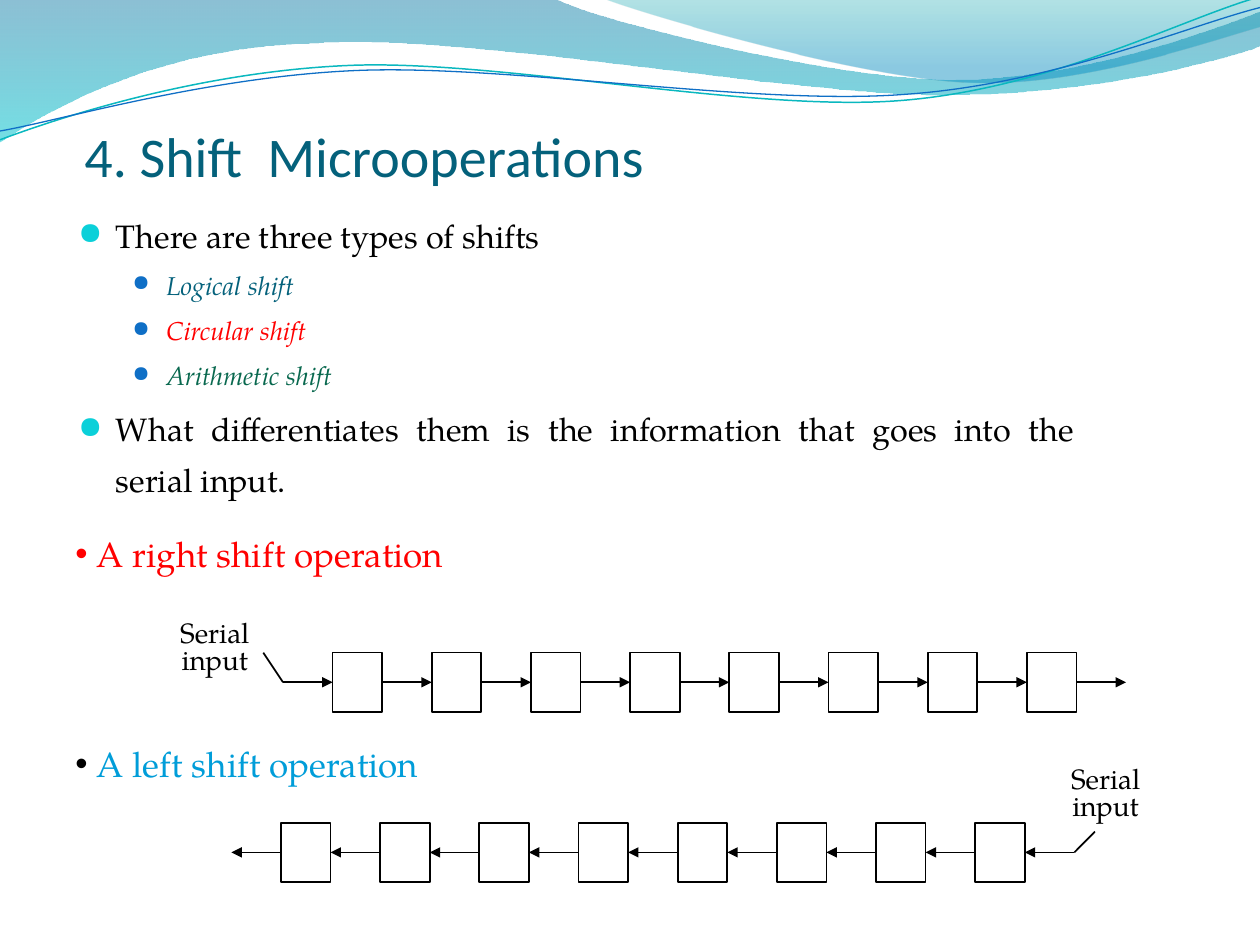
from itertools import pairwise

from lxml.etree import SubElement
from pptx import Presentation
from pptx.dml.color import RGBColor
from pptx.enum.shapes import MSO_CONNECTOR, MSO_SHAPE
from pptx.enum.text import MSO_ANCHOR, MSO_AUTO_SIZE, PP_ALIGN
from pptx.oxml.ns import qn
from pptx.util import Inches, Pt

COLORS = {
    "black": "000000", "red": "FF0000", "green": "08684E", "sky": "009DD9",
    "title": "04617B", "cyan": "0BD0D9", "blue": "0F6FC6", "teal": "0AB8BF",
    "wave_top": "0074A1", "wave_bottom": "00C6CF",
    "crest_top": "00A1A9", "crest_bottom": "008BBF",
}
SERIF = "TeX Gyre Pagella"

# Register grid: eight cells, each as wide as the gap after it
CELLS = 8
PITCH = 5.51 / (CELLS - 1)
CELL_W, CELL_H = PITCH / 2, 0.47
TOP, LEFT, BOTTOM, RIGHT = range(4)

# Wave outlines: a start point, then lines (x, y) and curves (x1, y1, x2, y2, x, y)
WAVE = [(0, 0), (4.4, -0.01), (4.76, 0.17, 6.64, 0.63, 7.58, 0.63),
        (8.53, 0.63, 9.58, 0.26, 10, 0.09), (10.01, 0.36),
        (9.83, 0.44, 8.7, 0.76, 7.46, 0.75), (6.22, 0.75, 3.82, 0.28, 2.57, 0.34),
        (1.29, 0.36, 0.46, 0.83, -0.01, 1.13)]
CREST = [(4.79, -0.01), (5.09, 0.11, 6.82, 0.62, 7.69, 0.65),
         (8.56, 0.69, 9.61, 0.32, 10, 0.21), (10, 0)]
TEAL_CURVE = [(0, 1.11), (0.48, 0.93, 1.58, 0.57, 2.77, 0.52),
              (3.95, 0.47, 5.93, 0.89, 7.13, 0.8), (8.33, 0.71, 9.38, 0.15, 9.98, -0.02)]
BLUE_CURVE = [(0, 1.04), (0.47, 0.96, 1.64, 0.61, 2.83, 0.56),
              (4.03, 0.51, 5.97, 0.84, 7.17, 0.75), (8.36, 0.67, 9.41, 0.21, 10, 0.06)]


def rgb(name):
    return RGBColor.from_string(COLORS[name])


def box(left, top, width, height):
    return [Inches(value) for value in (left, top, width, height)]


def add_outline(slide, outline, closed):
    """Build the outline from its end points, then bend the curved segments."""
    points = [(Inches(segment[-2]), Inches(segment[-1])) for segment in outline]
    builder = slide.shapes.build_freeform(*points[0])
    builder.add_line_segments(points[1:], close=closed)
    shape = builder.convert_to_shape()
    shape.shadow.inherit = False
    straight_segments = list(shape._element.iter(qn("a:lnTo")))
    for element, segment in zip(straight_segments, outline[1:]):
        if len(segment) == 2:
            continue
        element.tag = qn("a:cubicBezTo")
        end_point = element[0]
        for x, y in (segment[:2], segment[2:4]):
            control = SubElement(element, qn("a:pt"))
            control.set("x", str(Inches(x) - shape.left))
            control.set("y", str(Inches(y) - shape.top))
        element.append(end_point)
    return shape


def add_wave(slide, outline, stops):
    wave = add_outline(slide, outline, closed=True)
    wave.line.fill.background()
    wave.fill.gradient()
    wave.fill.gradient_angle = 270
    for gradient_stop, (position, color, _) in zip(wave.fill.gradient_stops, stops):
        gradient_stop.position = position
        gradient_stop.color.rgb = rgb(color)
    for color_element, (_, _, opacity) in zip(
            wave._element.spPr.iter(qn("a:srgbClr")), stops):
        SubElement(color_element, qn("a:alpha"), val=str(opacity * 1000))


def add_curve(slide, outline, color, width):
    curve = add_outline(slide, outline, closed=False)
    curve.fill.background()
    curve.line.color.rgb = rgb(color)
    curve.line.width = Pt(width)


def set_bullet(paragraph, char, font, color, size, margin, hang):
    properties = paragraph._p.get_or_add_pPr()
    properties.set("marL", str(Inches(margin)))
    properties.set("indent", str(-Inches(hang)))
    bullet_color = SubElement(properties, qn("a:buClr"))
    SubElement(bullet_color, qn("a:srgbClr"), val=COLORS[color])
    SubElement(properties, qn("a:buSzPct"), val=str(size * 1000))
    SubElement(properties, qn("a:buFont"), typeface=font)
    SubElement(properties, qn("a:buChar"), char=char)


def set_font(paragraph, size, color, name=SERIF, italic=False):
    font = paragraph.font
    font.size, font.name, font.italic = Pt(size), name, italic
    font.color.rgb = rgb(color)


def paragraphs_for(frame, texts):
    """Fill a text frame and give back its paragraphs."""
    frame.text = "\n".join(texts)
    return frame.paragraphs


def fill_title(title):
    title.left, title.top, title.width, title.height = box(0.67, 1.02, 6.5, 0.48)
    frame = title.text_frame
    frame.auto_size = MSO_AUTO_SIZE.NONE
    frame.vertical_anchor = MSO_ANCHOR.BOTTOM
    frame.margin_left = frame.margin_right = frame.margin_bottom = 0
    heading, = paragraphs_for(frame, ["4. Shift  Microoperations"])
    heading.alignment = PP_ALIGN.LEFT
    set_font(heading, 32, "title", "Calibri")


def fill_body(body):
    body.left, body.top, body.width, body.height = box(0.52, 1.57, 8.1, 2.59)
    points = [
        ("There are three types of shifts", 0, "black"),
        ("Logical shift", 1, "title"),
        ("Circular shift", 1, "red"),
        ("Arithmetic shift", 1, "green"),
        ("What differentiates them is the information that goes into the serial input.",
         0, "black"),
    ]
    levels = [dict(size=18.5, bullet=("cyan", 95, 0.3, 0.3)),
              dict(size=14.8, bullet=("blue", 85, 0.7, 0.27))]
    frame = body.text_frame
    frame.auto_size = MSO_AUTO_SIZE.NONE
    paragraphs = paragraphs_for(frame, [text for text, _, _ in points])
    for index, (paragraph, (_, level, color)) in enumerate(zip(paragraphs, points)):
        size = levels[level]["size"]
        paragraph.level = level
        paragraph.alignment = PP_ALIGN.JUSTIFY
        paragraph.line_spacing = 1.3
        paragraph.space_before = Pt(size * 0.2 if index else 0)
        set_bullet(paragraph, "●", "OpenSymbol", *levels[level]["bullet"])
        set_font(paragraph, size, color, italic=level == 1)


def add_operation_headings(slide):
    frame = slide.shapes.add_textbox(*box(0.5, 4.18, 8.57, 2.12)).text_frame
    frame.word_wrap = True
    right_shift, left_shift = paragraphs_for(
        frame, ["A right shift operation", "A left shift operation"])
    left_shift.space_before = Pt(96)
    for heading, bullet, color in ((right_shift, "red", "red"),
                                   (left_shift, "black", "sky")):
        set_bullet(heading, "•", "Arial", bullet, 100, 0.17, 0.17)
        set_font(heading, 20, color)


def add_serial_label(slide, left, top):
    frame = slide.shapes.add_textbox(*box(left, top, 0.81, 0.53)).text_frame
    frame.word_wrap = False
    for line in paragraphs_for(frame, ["Serial", "input"]):
        line.alignment = PP_ALIGN.CENTER
        line.line_spacing = 0.8
        set_font(line, 16, "black")


def add_cell(slide, left, top):
    cell = slide.shapes.add_shape(MSO_SHAPE.RECTANGLE, *box(left, top, CELL_W, CELL_H))
    cell.shadow.inherit = False
    cell.fill.background()
    cell.line.color.rgb = rgb("black")
    cell.line.width = Pt(1)
    return cell


def add_line(slide, start, end, arrow=True):
    line = slide.shapes.add_connector(MSO_CONNECTOR.STRAIGHT,
                                      *[Inches(value) for value in start + end])
    line.line.color.rgb = rgb("black")
    line.line.width = Pt(1)
    properties = line._element.spPr
    if arrow:
        SubElement(properties.find(qn("a:ln")), qn("a:tailEnd"), type="triangle")
    SubElement(properties, qn("a:effectLst"))
    return line


def add_register(slide, left, top, direction, lead_end):
    """Draw the cells, with arrows running right (1) or left (-1)."""
    lefts = [left + column * PITCH for column in range(CELLS)][::direction]
    cells = [add_cell(slide, cell_left, top) for cell_left in lefts]
    exit_side, entry_side = (RIGHT, LEFT) if direction == 1 else (LEFT, RIGHT)
    middle = top + CELL_H / 2
    entry_x = lefts[0] + (0 if direction == 1 else CELL_W)
    exit_x = lefts[-1] + (CELL_W if direction == 1 else 0)
    step = direction * CELL_W

    for source, target in pairwise(cells):
        arrow = add_line(slide, (0, middle), (1, middle))
        arrow.begin_connect(source, exit_side)
        arrow.end_connect(target, entry_side)

    # Serial input, its lead from the label, and the output
    bend = (entry_x - step, middle)
    add_line(slide, bend, (entry_x, middle)).end_connect(cells[0], entry_side)
    add_line(slide, bend, lead_end, arrow=False)
    add_line(slide, (exit_x, middle), (exit_x + step, middle)).begin_connect(
        cells[-1], exit_side)


def main():
    presentation = Presentation()
    presentation.slide_width, presentation.slide_height = Inches(10), Inches(7.5)
    slide = presentation.slides.add_slide(presentation.slide_layouts[1])
    title, body = slide.placeholders

    # Waves, kept behind the title and the list
    add_wave(slide, WAVE, [(0, "wave_top", 45), (1, "wave_bottom", 55)])
    add_wave(slide, CREST, [(0, "crest_top", 30), (0.8, "crest_bottom", 45)])
    add_curve(slide, TEAL_CURVE, "teal", 0.85)
    add_curve(slide, BLUE_CURVE, "blue", 0.75)
    for placeholder in (title, body):
        slide.shapes._spTree.append(placeholder._element)

    # Text
    fill_title(title)
    fill_body(body)
    add_operation_headings(slide)

    # Right shift and left shift
    add_register(slide, 2.64, 5.18, 1, lead_end=(2.09, 5.18))
    add_serial_label(slide, 1.3, 4.89)
    add_register(slide, 2.23, 6.53, -1, lead_end=(8.69, 6.6))
    add_serial_label(slide, 8.37, 6.05)

    presentation.save("out.pptx")


if __name__ == "__main__":
    main()
